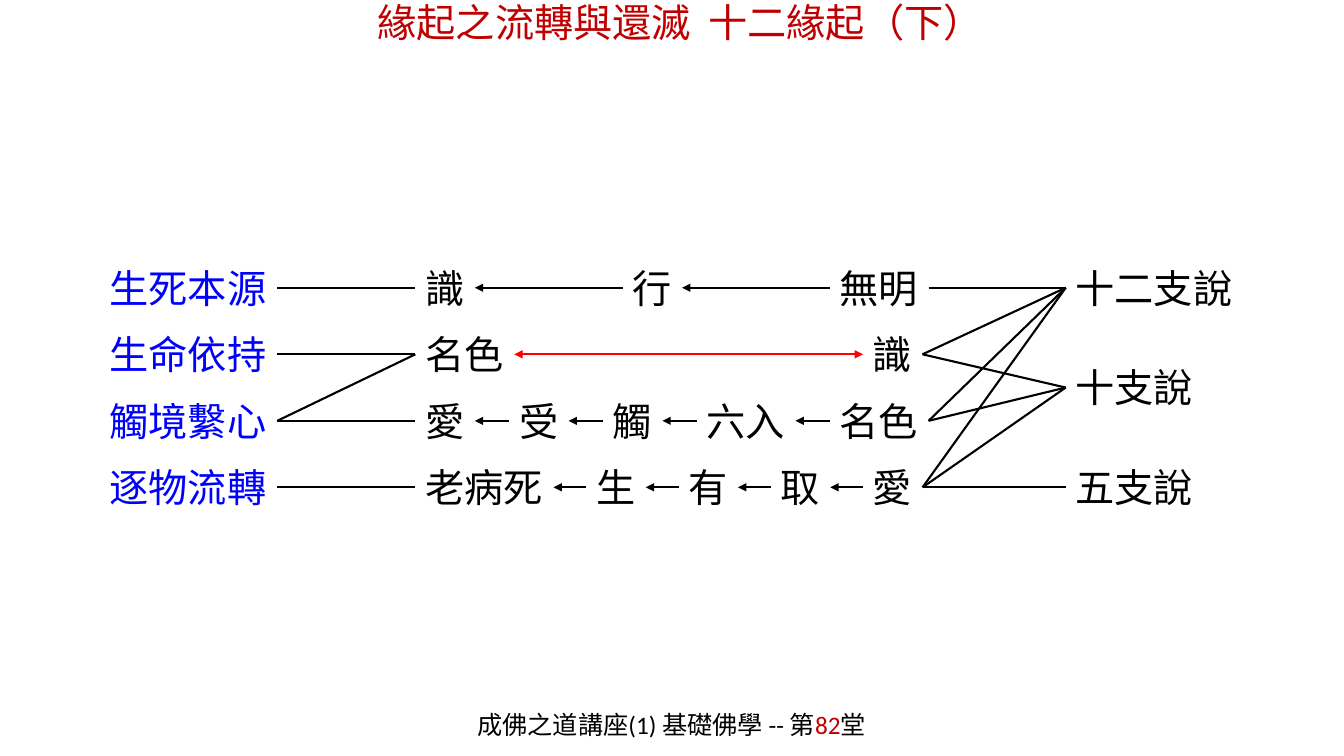
from lxml import etree
from pptx import Presentation
from pptx import util as u
from pptx.dml.color import RGBColor
from pptx.enum import shapes, text
from pptx.oxml.ns import qn

WIDTH, HEIGHT = 13.33, 7.5
BLACK, RED, DARK_RED, BLUE = "000000", "FF0000", "C00000", "0000FF"
CJK = "Noto Sans CJK SC"
RIGHT_SIDE, LEFT_SIDE = 3, 1

# Label metrics and row grid, in inches
LABEL_HEIGHT, LABEL_PADDING, GLYPH = 0.57, 0.2, 0.39
DIAGRAM_TOP, ROW_PITCH = 2.57, 0.66
THEME_LEFT, CHAIN_LEFT, DOCTRINE_LEFT = 0.99, 4.12, 10.57

THEMES = ["生死本源", "生命依持", "觸境繫心", "逐物流轉"]
CHAINS = [  # labels and right edge of each row
    (["識", "行", "無明"], 9.21),
    (["名色", "識"], 9.15),
    (["愛", "受", "觸", "六入", "名色"], 9.21),
    (["老病死", "生", "有", "取", "愛"], 9.15),
]
MUTUAL_ROW = 1
DOCTRINES = [("十二支說", 0, 0), ("十支說", 1.5, 1), ("五支說", 3, 3)]  # row, first chain


def color(value):
    return RGBColor.from_string(value)


def add_text_shadow(span):
    effects = etree.Element(qn("a:effectLst"))
    shadow = etree.SubElement(effects, qn("a:outerShdw"), blurRad="38100",
                              dist="38100", dir="2700000", algn="tl")
    tint = etree.SubElement(shadow, qn("a:srgbClr"), val=BLACK)
    etree.SubElement(tint, qn("a:alpha"), val="43000")
    span.font._element.find(qn("a:solidFill")).addnext(effects)


def write_text(box, spans, size=28, font=CJK, align=text.PP_ALIGN.LEFT,
               anchor=text.MSO_ANCHOR.TOP, wrap=False, grow=False, shadow=False):
    """Fill the box with one paragraph of (wording, colour) spans."""
    frame = box.text_frame
    frame.word_wrap = wrap
    frame.vertical_anchor = anchor
    frame.auto_size = (text.MSO_AUTO_SIZE.SHAPE_TO_FIT_TEXT if grow
                       else text.MSO_AUTO_SIZE.NONE)
    para = frame.paragraphs[0]
    para.alignment = align
    for wording, hue in spans:
        span = para.add_run()
        span.text = wording
        span.font.size = u.Pt(size)
        span.font.name = font
        span.font.color.rgb = color(hue)
        if shadow:
            add_text_shadow(span)
        latin = span.font._element.find(qn("a:latin"))
        latin.addnext(etree.Element(qn("a:ea"), typeface=CJK))
    return para


def label_width(wording):
    return LABEL_PADDING + GLYPH * len(wording)


def add_label(page, wording, left, row, hue=BLACK):
    box = page.shapes.add_textbox(
        u.Inches(left), u.Inches(DIAGRAM_TOP + row * ROW_PITCH),
        u.Inches(label_width(wording)), u.Inches(LABEL_HEIGHT))
    write_text(box, [(wording, hue)], grow=True)
    return box


def join(page, start, end, hue=BLACK, arrows=()):
    """Link the right side of start to the left side of end."""
    link = page.shapes.add_connector(shapes.MSO_CONNECTOR.STRAIGHT, 0, 0, 0, 0)
    link.begin_connect(start, RIGHT_SIDE)
    link.end_connect(end, LEFT_SIDE)
    link.line.color.rgb = color(hue)
    link.line.width = u.Pt(1.5)
    outline = link.line._get_or_add_ln()
    for tip in arrows:
        etree.SubElement(outline, qn(f"a:{tip}"), type="triangle")
    etree.SubElement(link._element.spPr, qn("a:effectLst"))


def add_chain(page, row, wordings, right):
    """Spread the labels evenly up to the right edge, with arrows between them."""
    widths = [label_width(wording) for wording in wordings]
    gap = (right - CHAIN_LEFT - sum(widths)) / (len(wordings) - 1)
    boxes, left = [], CHAIN_LEFT
    for wording, width in zip(wordings, widths):
        boxes.append(add_label(page, wording, left, row))
        left += width + gap
    mutual = row == MUTUAL_ROW
    for start, end in zip(boxes, boxes[1:]):
        join(page, start, end, RED if mutual else BLACK,
             ("headEnd", "tailEnd") if mutual else ("headEnd",))
    return boxes


def add_diagram(page):
    chains = [add_chain(page, row, *chain) for row, chain in enumerate(CHAINS)]
    themes = [add_label(page, wording, THEME_LEFT, row, BLUE)
              for row, wording in enumerate(THEMES)]
    for theme, chain in zip(themes, chains):
        join(page, theme, chain[0])
    join(page, themes[2], chains[MUTUAL_ROW][0])
    for wording, row, first in DOCTRINES:
        doctrine = add_label(page, wording, DOCTRINE_LEFT, row)
        for chain in chains[first:]:
            join(page, chain[-1], doctrine)


def add_title(page):
    title = page.shapes.title
    title.left, title.top = u.Inches(0.35), u.Inches(-0.11)
    title.width, title.height = u.Inches(12.62), u.Inches(0.85)
    para = write_text(title, [("緣起之流轉與還滅  十二緣起（下）", DARK_RED)],
                      font="Calibri", align=text.PP_ALIGN.CENTER,
                      anchor=text.MSO_ANCHOR.MIDDLE, shadow=True)
    para.line_spacing = u.Pt(20)
    para._p.get_or_add_pPr().set("indent", str(u.Inches(0.17)))


def add_footer(page):
    box = page.shapes.add_textbox(u.Inches(4.62), u.Inches(6.97),
                                  u.Inches(4.08), u.Inches(0.44))
    write_text(box, [("成佛之道講座(1) 基礎佛學 -- 第", BLACK), ("82", DARK_RED),
                     ("堂", BLACK)], size=18, font="Calibri", wrap=True,
               align=text.PP_ALIGN.CENTER, anchor=text.MSO_ANCHOR.MIDDLE, shadow=True)


def main():
    deck = Presentation()
    deck.slide_width, deck.slide_height = u.Inches(WIDTH), u.Inches(HEIGHT)
    page = deck.slides.add_slide(deck.slide_layouts[5])
    add_footer(page)
    add_title(page)
    add_diagram(page)
    deck.save("out.pptx")


if __name__ == "__main__":
    main()
